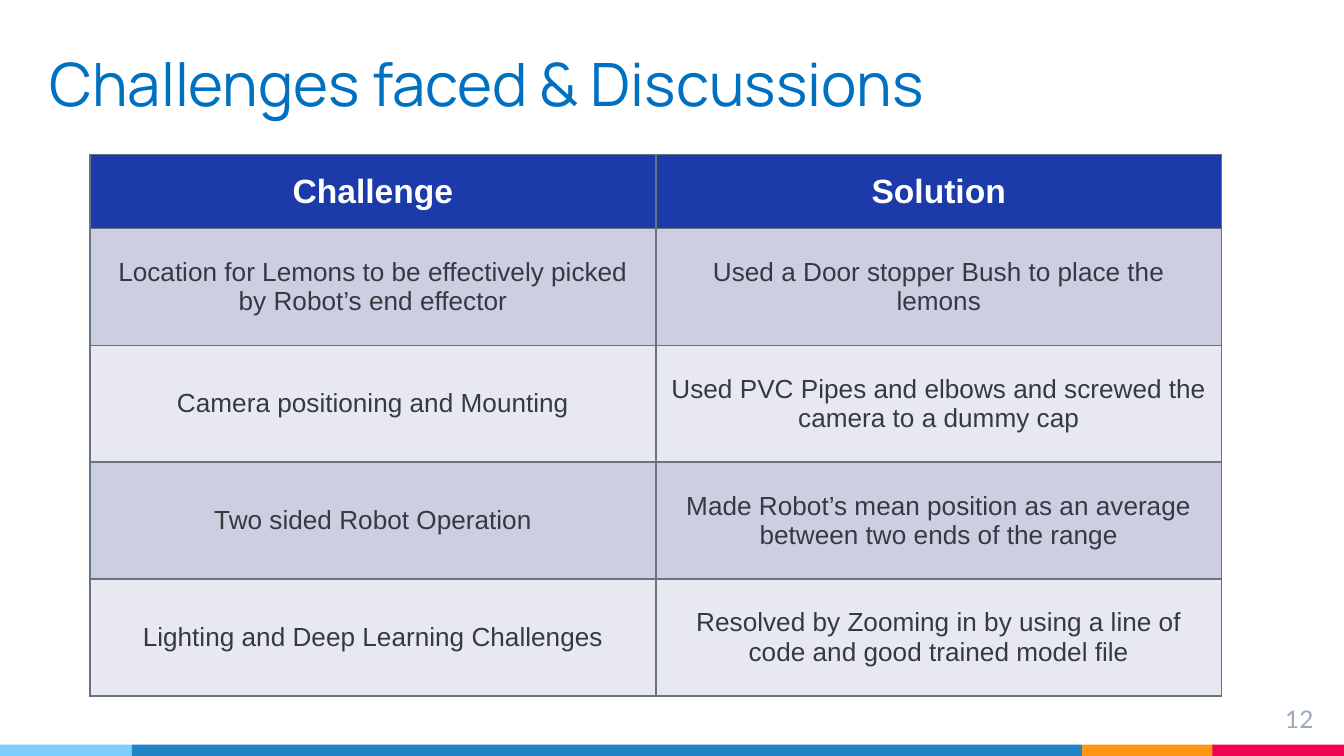
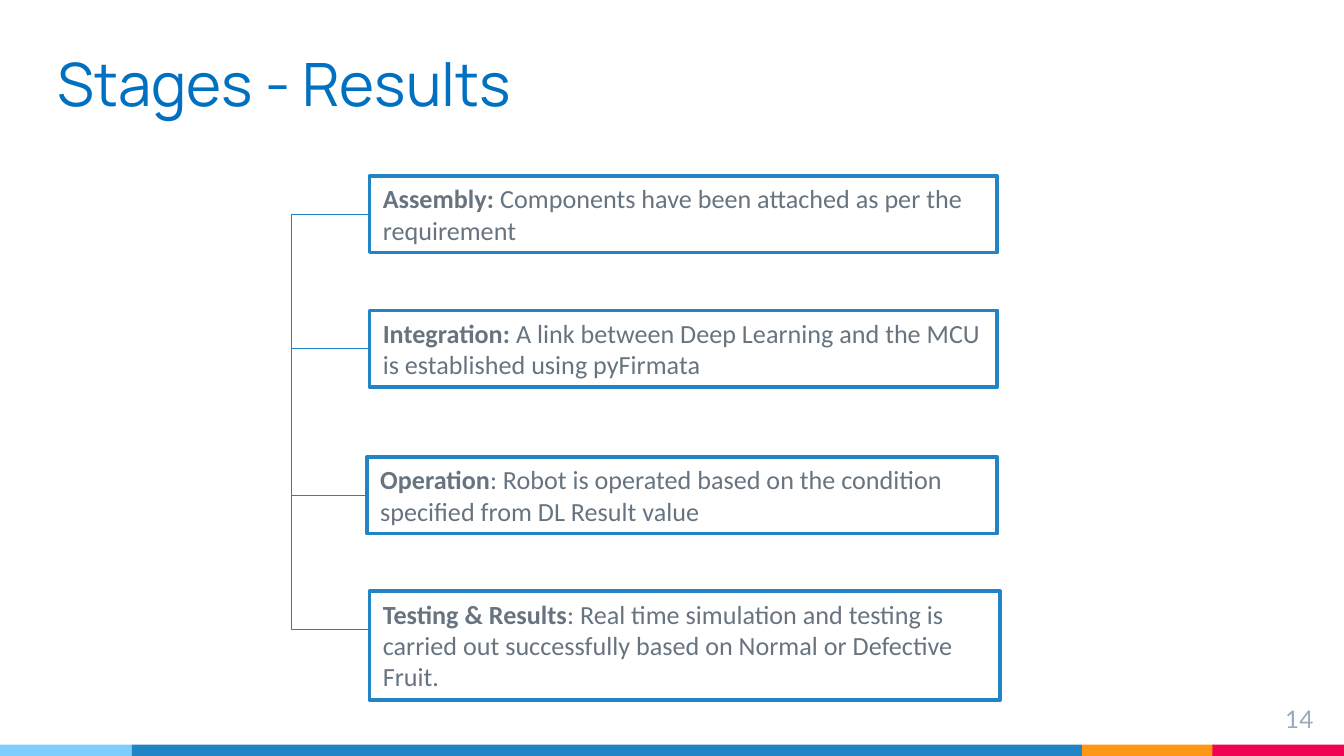
from lxml.etree import SubElement
from pptx import Presentation
from pptx.dml.color import RGBColor
from pptx.enum.shapes import MSO_CONNECTOR, MSO_SHAPE
from pptx.enum.text import MSO_ANCHOR, MSO_AUTO_SIZE, PP_ALIGN
from pptx.oxml import parse_xml
from pptx.oxml.ns import nsdecls, qn
from pptx.util import Inches, Pt

WHITE = RGBColor(0xFF, 0xFF, 0xFF)
TITLE_BLUE = RGBColor(0x00, 0x70, 0xC0)
BAND_BLUE = RGBColor(0x21, 0x85, 0xC5)
LIGHT_BLUE = RGBColor(0x7E, 0xCE, 0xFD)
ORANGE = RGBColor(0xFF, 0x97, 0x15)
PINK = RGBColor(0xF2, 0x02, 0x53)
NUMBER_GREY = RGBColor(0x97, 0xAB, 0xBC)
SLATE = RGBColor(0x67, 0x74, 0x80)
LINK_BLUE = RGBColor(0x1C, 0x83, 0xC5)
HEADER_BLUE = RGBColor(0x1C, 0x3A, 0xA9)
CELL_TEXT = RGBColor(0x34, 0x3A, 0x40)
ROW_DARK = RGBColor(0xCD, 0xCE, 0xE2)
ROW_LIGHT = RGBColor(0xE8, 0xE8, 0xF1)

TITLE_FONT = {"name": "Manrope", "size": Pt(32), "color": TITLE_BLUE}
NUMBER_FONT = {"name": "Lato", "size": Pt(13), "color": NUMBER_GREY}
HEADER_FONT = {"name": "Arial", "size": Pt(18), "color": WHITE, "bold": True}
CELL_FONT = {"name": "Arial", "size": Pt(14), "color": CELL_TEXT, "bold": False}
STAGE_FONT = {"name": "Calibri", "size": Pt(14), "color": SLATE}
INSETS = {f"margin_{side}": Inches(0.1) for side in ("left", "right", "top", "bottom")}

BANDS = [
    (8.05, 0.98, ORANGE),
    (9.02, 0.98, PINK),
    (0, 0.98, LIGHT_BLUE),
    (0.98, 7.07, BAND_BLUE),
]
PAGES = [
    ("Challenges faced & Discussions", 0.27, 7.48, "12"),
    ("Stages - Results", 0.33, 6.64, "14"),
]
CHALLENGES = [
    ("Challenge", "Solution"),
    ("Location for Lemons to be effectively picked by Robot’s end effector",
     "Used a Door stopper Bush to place the lemons"),
    ("Camera positioning and Mounting",
     "Used PVC Pipes and elbows and screwed the camera to a dummy cap"),
    ("Two sided Robot Operation",
     "Made Robot’s mean position as an average between two ends of the range"),
    ("Lighting and Deep Learning Challenges",
     "Resolved by Zooming in by using a line of code and good trained model file"),
]
STAGES = [
    (2.75, 1.31, 4.67, 0.57, "Assembly: ",
     "Components have been attached as per the requirement"),
    (2.75, 2.31, 4.67, 0.57, "Integration: ",
     "A link between Deep Learning and the MCU is established using pyFirmata"),
    (2.73, 3.4, 4.69, 0.57, "Operation",
     ": Robot is operated based on the condition specified from DL Result value"),
    (2.75, 4.4, 4.69, 0.81, "Testing & Results",
     ": Real time simulation and testing is carried out successfully "
     "based on Normal or Defective Fruit."),
]
TRUNK_LEFT = 2.17
BRANCH_DROP = 0.57 / 2


def apply_format(target, values):
    for name, value in values.items():
        if name == "color":
            target.color.rgb = value
        else:
            setattr(target, name, value)


def add_link(page, left, top, right, bottom):
    link = page.shapes.add_connector(
        MSO_CONNECTOR.STRAIGHT, Inches(left), Inches(top), Inches(right), Inches(bottom))
    apply_format(link.line, {"color": LINK_BLUE, "width": Pt(0.75)})
    SubElement(link._element.spPr, qn("a:effectLst"))
    return link


deck = Presentation()
deck.slide_width = Inches(10)
deck.slide_height = deck.slide_width * 9 // 16
band_top = Inches(5.54)

for title_text, left, width, number in PAGES:
    page = deck.slides.add_slide(deck.slide_layouts[5])
    for band_left, band_width, color in BANDS:
        band = page.shapes.add_shape(
            MSO_SHAPE.RECTANGLE, Inches(band_left), band_top,
            Inches(band_width), deck.slide_height - band_top)
        band.shadow.inherit = False
        band.fill.solid()
        band.fill.fore_color.rgb = color
        band.line.fill.background()

    title = page.shapes.title
    apply_format(title, {"left": Inches(left), "top": Inches(0.31),
                         "width": Inches(width), "height": Inches(0.67)})
    number_box = page.shapes.add_textbox(Inches(9.27), Inches(5.14), Inches(0.6), Inches(0.34))
    for box, text, anchor, alignment, font in (
        (title, title_text, MSO_ANCHOR.BOTTOM, PP_ALIGN.LEFT, TITLE_FONT),
        (number_box, number, MSO_ANCHOR.TOP, PP_ALIGN.RIGHT, NUMBER_FONT),
    ):
        frame = box.text_frame
        frame.text = text
        apply_format(frame, {"word_wrap": True, "auto_size": MSO_AUTO_SIZE.NONE,
                             "vertical_anchor": anchor, **INSETS})
        para = frame.paragraphs[0]
        para.alignment = alignment
        apply_format(para.runs[0].font, font)

challenge_page, stage_page = deck.slides

table = challenge_page.shapes.add_table(
    len(CHALLENGES), 2, Inches(0.67), Inches(1.15), Inches(8.42), Inches(4.03)).table
table.horz_banding = False
for column in table.columns:
    column.width = Inches(4.21)
for row_index, texts in enumerate(CHALLENGES):
    is_header = row_index == 0
    table.rows[row_index].height = Inches(0.55 if is_header else 0.87)
    fill = HEADER_BLUE if is_header else ROW_DARK if row_index % 2 else ROW_LIGHT
    for column_index, text in enumerate(texts):
        cell = table.cell(row_index, column_index)
        cell.text = text
        cell.vertical_anchor = MSO_ANCHOR.MIDDLE
        para = cell.text_frame.paragraphs[0]
        para.alignment = PP_ALIGN.CENTER
        apply_format(para.runs[0].font, HEADER_FONT if is_header else CELL_FONT)
        properties = cell._tc.get_or_add_tcPr()
        for side in ("lnL", "lnR", "lnT", "lnB"):
            properties.append(parse_xml(
                f'<a:{side} {nsdecls("a")} w="{Pt(1)}"><a:solidFill>'
                f'<a:srgbClr val="{SLATE}"/></a:solidFill></a:{side}>'))
        cell.fill.solid()
        cell.fill.fore_color.rgb = fill

add_link(stage_page, TRUNK_LEFT, STAGES[0][1] + BRANCH_DROP,
         TRUNK_LEFT, STAGES[-1][1] + BRANCH_DROP)
for left, top, width, height, stage, detail in STAGES:
    box = stage_page.shapes.add_shape(
        MSO_SHAPE.RECTANGLE, Inches(left), Inches(top), Inches(width), Inches(height))
    box.shadow.inherit = False
    box.fill.solid()
    box.fill.fore_color.rgb = WHITE
    apply_format(box.line, {"color": BAND_BLUE, "width": Pt(2)})
    frame = box.text_frame
    apply_format(frame, {"word_wrap": True, "vertical_anchor": MSO_ANCHOR.TOP,
                         "auto_size": MSO_AUTO_SIZE.SHAPE_TO_FIT_TEXT})
    para = frame.paragraphs[0]
    para.alignment = PP_ALIGN.LEFT
    for text, bold in ((stage, True), (detail, False)):
        span = para.add_run()
        span.text = text
        apply_format(span.font, {**STAGE_FONT, "bold": bold})
    branch_top = top + BRANCH_DROP
    branch = add_link(stage_page, TRUNK_LEFT, branch_top, left, branch_top)
    if height == 2 * BRANCH_DROP:
        branch.end_connect(box, 1)

deck.save("out.pptx")
